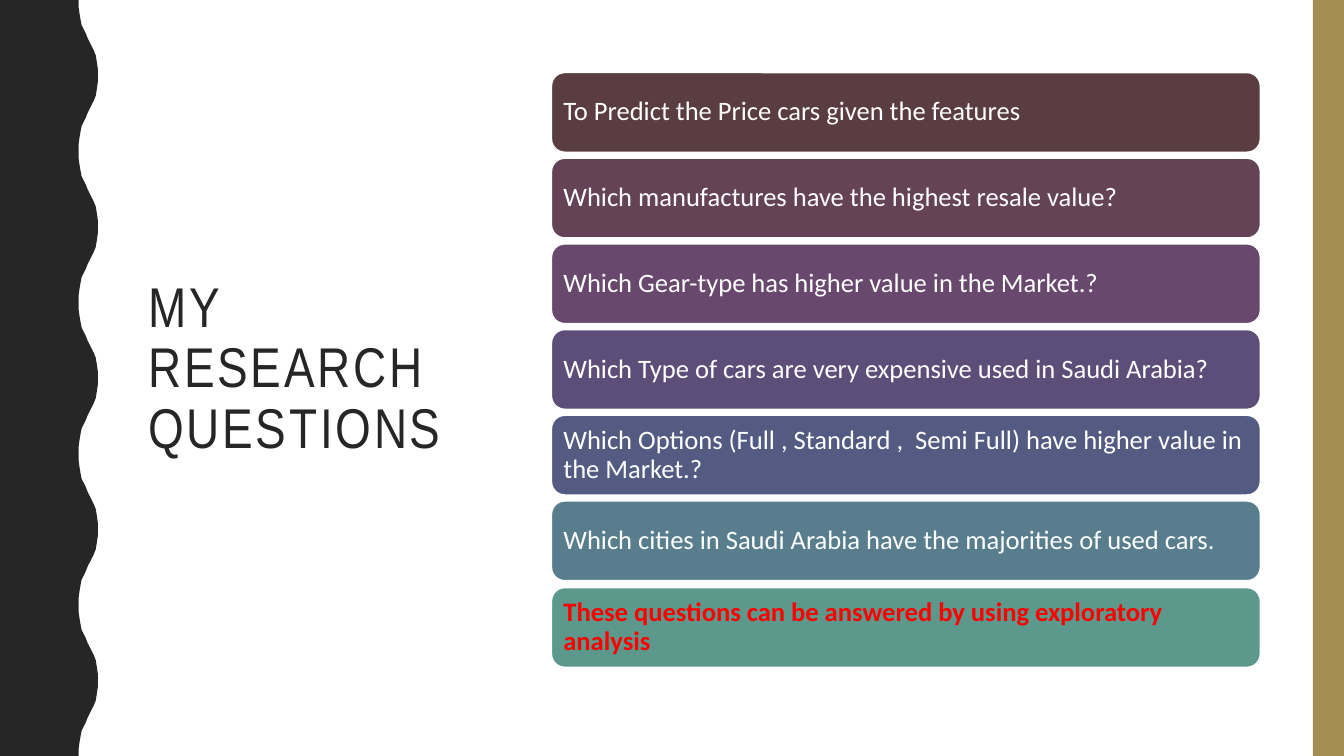
from pptx import Presentation
from pptx.dml.color import RGBColor
from pptx.enum.shapes import MSO_SHAPE as SHAPE
from pptx.enum.text import MSO_ANCHOR as ANCHOR, PP_ALIGN as ALIGN
from pptx.util import Pt

PX = 9144
INK = RGBColor(0x26, 0x26, 0x26)
GOLD = RGBColor(0xA3, 0x8D, 0x51)
WHITE = RGBColor(0xFF, 0xFF, 0xFF)
RED = RGBColor(0xFF, 0x00, 0x00)

QUESTIONS = [
    ("To Predict the Price cars given the features", RGBColor(0x5A, 0x3D, 0x40)),
    ("Which manufactures have the highest resale value?", RGBColor(0x64, 0x43, 0x57)),
    ("Which Gear-type has higher value in the Market.?", RGBColor(0x69, 0x48, 0x6E)),
    ("Which Type of cars are very expensive used in Saudi Arabia?", RGBColor(0x5C, 0x4E, 0x78)),
    ("Which Options (Full , Standard ,  Semi Full) have higher value in the Market.?",
     RGBColor(0x53, 0x5B, 0x83)),
    ("Which cities in Saudi Arabia have the majorities of used cars.", RGBColor(0x58, 0x7D, 0x8D)),
    ("These questions can be answered by using exploratory analysis", RGBColor(0x5D, 0x98, 0x8C)),
]


def paint(shape, color):
    shape.shadow.inherit = False
    shape.fill.solid()
    shape.fill.fore_color.rgb = color
    shape.line.fill.background()


def write(paragraph, text, font_name, size, color):
    paragraph.alignment = ALIGN.LEFT
    paragraph.line_spacing = 0.9
    run = paragraph.add_run()
    run.text = text
    run.font.name = font_name
    run.font.size = Pt(size)
    run.font.color.rgb = color
    return run


presentation = Presentation()
presentation.slide_width = 1333 * PX
presentation.slide_height = 750 * PX
slide = presentation.slides.add_slide(presentation.slide_layouts[5])

crest = [(78, 0), (78, 7), (79, 14), (80, 20), (81, 25), (83, 29), (85, 33), (87, 38),
         (89, 42), (91, 46), (93, 50), (95, 55), (96, 61), (97, 68), (97, 75)]
wave = crest + [(x, 150 - y) for x, y in reversed(crest[:-1])]
edge = [(x, y + 150 * period) for period in range(5) for x, y in wave]
builder = slide.shapes.build_freeform(0, 0, scale=PX)
builder.add_line_segments(edge + [(0, 750)], close=True)
paint(builder.convert_to_shape(), INK)

gold_band = slide.shapes.add_shape(SHAPE.RECTANGLE, 1302 * PX, 0, 31 * PX, 750 * PX)
paint(gold_band, GOLD)

title = slide.shapes.title
title.left, title.top, title.width, title.height = 137 * PX, 71 * PX, 370 * PX, 591 * PX
title.text_frame.word_wrap = True
title.text_frame.vertical_anchor = ANCHOR.MIDDLE
title_run = write(title.text_frame.paragraphs[0], "MY RESEARCH QUESTIONS", "Arial Narrow", 40, INK)
title_run._r.get_or_add_rPr().set("spc", "200")

for index, (question, color) in enumerate(QUESTIONS):
    is_answer = index == len(QUESTIONS) - 1
    card = slide.shapes.add_shape(
        SHAPE.ROUNDED_RECTANGLE, 547 * PX, (72 + 511 * index // 6) * PX, 703 * PX, 79 * PX)
    paint(card, color)
    card.line.color.rgb = WHITE
    card.line.width = Pt(1)
    frame = card.text_frame
    frame.word_wrap = True
    frame.vertical_anchor = ANCHOR.MIDDLE
    frame.margin_left = frame.margin_right = 8 * PX
    frame.margin_top = frame.margin_bottom = 8 * PX
    run = write(frame.paragraphs[0], question, "Calibri", 19, RED if is_answer else WHITE)
    run.font.bold = is_answer

presentation.save("out.pptx")
